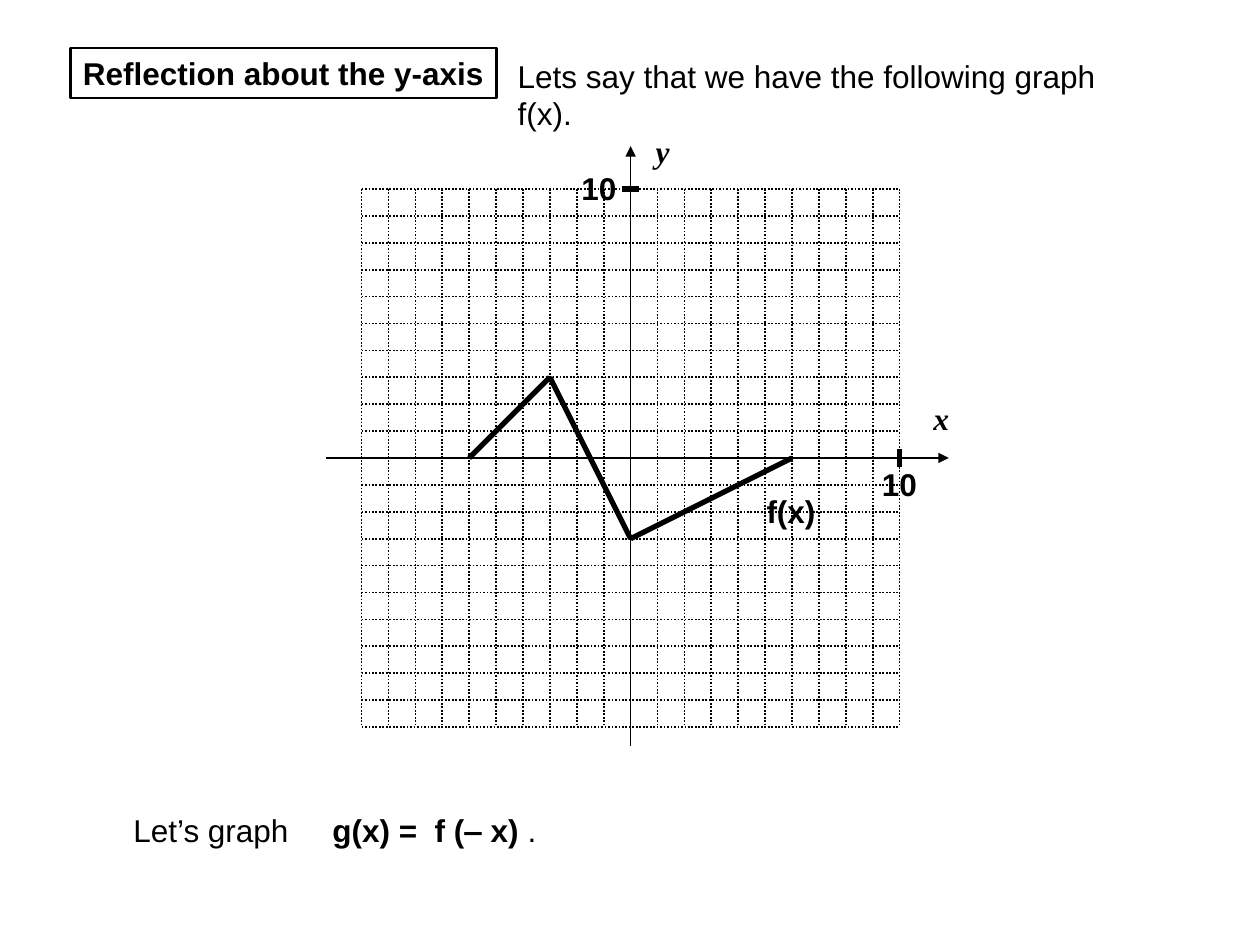
from itertools import pairwise

from lxml import etree
from pptx import Presentation
from pptx.dml.color import RGBColor
from pptx.enum.dml import MSO_LINE
from pptx.enum.shapes import MSO_CONNECTOR, MSO_SHAPE
from pptx.enum.text import PP_ALIGN
from pptx.oxml.ns import qn
from pptx.util import Inches, Pt

STRAIGHT = MSO_CONNECTOR.STRAIGHT
DOTTED = MSO_LINE.ROUND_DOT  # written as sysDot
RECTANGLE = MSO_SHAPE.RECTANGLE
LEFT = PP_ALIGN.LEFT

BLACK = "000000"
SANS, SERIF = "Arial", "Times New Roman"
UNITS = 10  # each axis runs from -10 to 10
CURVE = [(-6, 0), (-3, 3), (0, -3), (6, 0)]
TICK = 0.07  # half the length of a tick mark


def color(hex_value):
    return RGBColor.from_string(hex_value)


def write(shape, runs, font=SANS, italic=False):
    """Fill a shape with one paragraph of (text, bold) runs."""
    frame = shape.text_frame
    frame.word_wrap = False
    paragraph = frame.paragraphs[0]
    paragraph.alignment = LEFT
    for text, bold in runs:
        run = paragraph.add_run()
        run.text = text
        run.font.name = font
        run.font.size = Pt(18)
        run.font.bold = bold
        run.font.italic = italic
        run.font.color.rgb = color(BLACK)
    return paragraph


def add_label(slide, box, runs, **style):
    label = slide.shapes.add_textbox(*map(Inches, box))
    return write(label, runs, **style)


def add_line(shapes, start, end, width, dash=None, arrow=False):
    line = shapes.add_connector(STRAIGHT, *map(Inches, (*start, *end)))
    line.line.color.rgb = color(BLACK)
    line.line.width = Pt(width)
    if dash:
        line.line.dash_style = dash
    properties = line._element.spPr
    if arrow:
        etree.SubElement(properties.find(qn("a:ln")), qn("a:tailEnd"), type="triangle")
    etree.SubElement(properties, qn("a:effectLst"))


def add_heading(slide, left, top):
    # Framed topic
    topic = slide.shapes.add_shape(
        RECTANGLE, Inches(left), Inches(top), Inches(3.38), Inches(0.4))
    topic.shadow.inherit = False
    topic.fill.background()
    topic.line.color.rgb = color(BLACK)
    topic.line.width = Pt(1.5)
    write(topic, [("Reflection about the y-axis", True)])

    # Introduction beside it
    add_label(slide, (left + 3.45, top + 0.02, 5.28, 0.4),
              [("Lets say that we have the following graph f(x).", False)])


def add_graph(slide, left, top, size):
    """Draw f(x) on a square grid that fills the given box."""
    right, bottom = left + size, top + size
    center_x, center_y = left + size / 2, top + size / 2
    step = size / (2 * UNITS)

    # Curve
    curve = slide.shapes.add_group_shape().shapes
    points = [(center_x + x * step, center_y - y * step) for x, y in CURVE]
    for start, end in pairwise(points):
        add_line(curve, start, end, 3)

    # Grid
    grid = slide.shapes.add_group_shape().shapes
    for i in range(2 * UNITS + 1):
        offset = i * step
        add_line(grid, (left + offset, top), (left + offset, bottom), 1, DOTTED)
        add_line(grid, (left, top + offset), (right, top + offset), 1, DOTTED)

    # Axes, with their arrows pointing up and right
    add_line(slide.shapes, (center_x, bottom + 0.15), (center_x, top - 0.34), 0.75, arrow=True)
    add_line(slide.shapes, (left - 0.28, center_y), (right + 0.39, center_y), 0.75, arrow=True)

    # Tick marks at 10
    add_line(slide.shapes, (right, center_y - TICK), (right, center_y + TICK), 3)
    add_line(slide.shapes, (center_x - TICK, top), (center_x + TICK, top), 3)

    # Labels of axes, ticks and curve
    add_label(slide, (center_x + 0.1, top - 0.5, 0.31, 0.4), [("y", True)],
              font=SERIF, italic=True)
    add_label(slide, (right + 0.17, center_y - 0.52, 0.32, 0.4), [("x", True)],
              font=SERIF, italic=True)
    add_label(slide, (right - 0.24, center_y + 0.01, 0.48, 0.4), [("10", True)])
    add_label(slide, (center_x - 0.49, top - 0.21, 0.48, 0.4), [("10", True)])
    add_label(slide, (center_x + 0.98, center_y + 0.22, 0.59, 0.4), [("f(x)", True)])


def add_task(slide, left, top):
    task = add_label(slide, (left, top, 3.4, 0.4),
                     [("Let’s graph\t", False), ("g(x) =  f (‒ x)", True), (" .", False)])
    # Tab stop that sets the formula apart
    tabs = etree.SubElement(task._p.get_or_add_pPr(), qn("a:tabLst"))
    etree.SubElement(tabs, qn("a:tab"), pos=str(Inches(1.58)), algn="l")


def main():
    presentation = Presentation()
    presentation.slide_width = Inches(10)
    presentation.slide_height = Inches(7.5)
    slide = presentation.slides.add_slide(presentation.slide_layouts[6])
    add_heading(slide, 0.56, 0.38)
    add_graph(slide, 2.87, 1.5, 4.27)
    add_task(slide, 0.96, 6.39)
    presentation.save("out.pptx")


if __name__ == "__main__":
    main()
